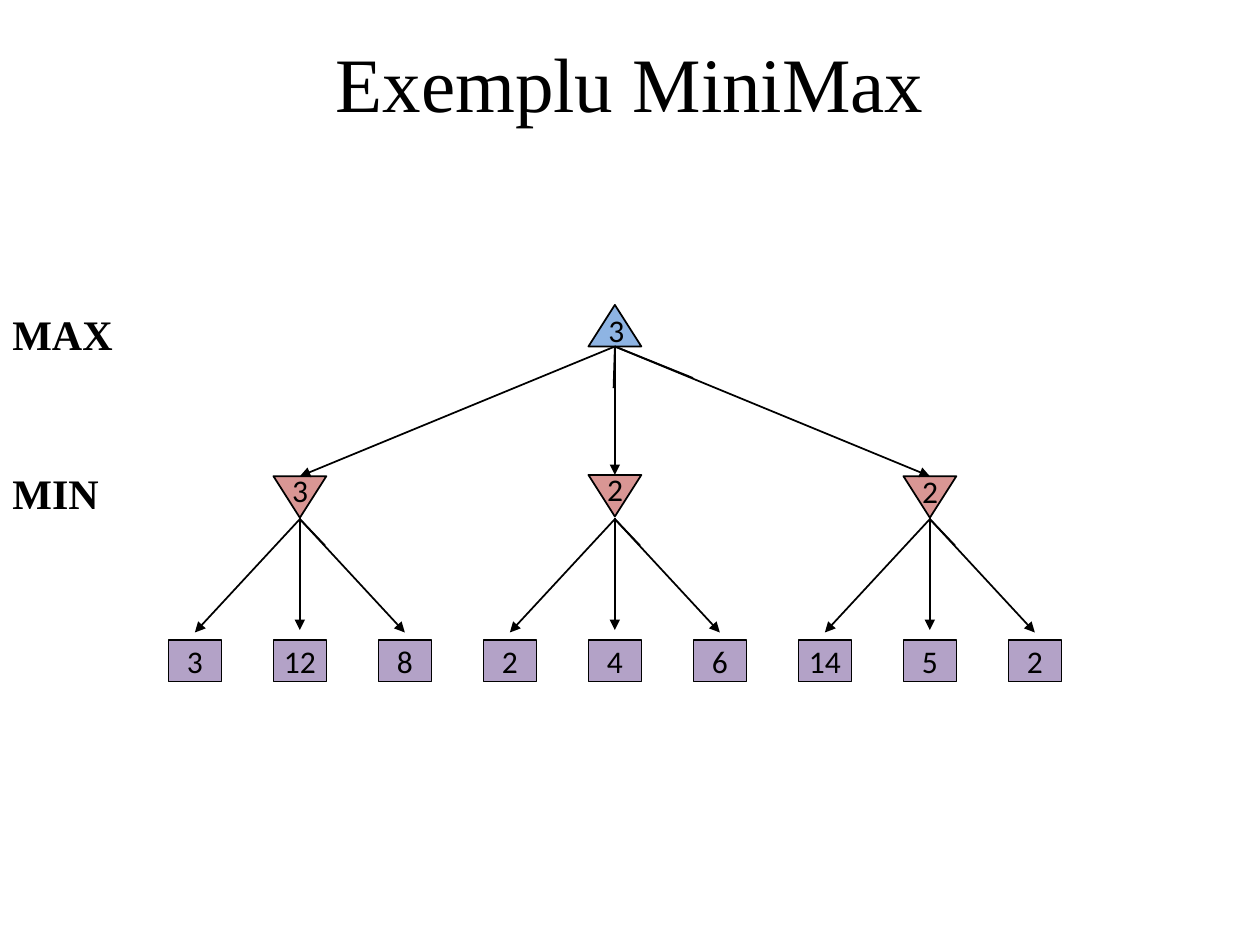
from lxml import etree
from pptx import Presentation
from pptx.dml.color import RGBColor
from pptx.enum import shapes, text
from pptx.oxml.ns import qn
from pptx.util import Inches, Pt

COLOURS = {
    "ink": "000000",
    "max": "8EB4E3",
    "min": "D99694",
    "leaf": "B3A2C7",
}
SERIF, SANS = "Times New Roman", "Calibri"
NODE_W, NODE_H = 0.42, 0.33
ROOT_X, ROOT_TOP, ROOT_BASE = 4.88, 2.42, 2.75
MIN_TIP, LEAF_TOP = 4.12, 5.08
LEAF_STEP = 2.5 / 3

# Each MIN node: centre x, top, value, value position, leaf values
MIN_NODES = [
    (2.38, 3.78, "3", (2.22, 3.69), ["3", "12", "8"]),
    (4.88, 3.77, "2", (4.72, 3.68), ["2", "4", "6"]),
    (7.38, 3.78, "2", (7.22, 3.70), ["14", "5", "2"]),
]


def rgb(name):
    return RGBColor.from_string(COLOURS[name])


def format_text(frame, size, font, bold=False, align=None):
    for paragraph in frame.paragraphs:
        paragraph.alignment = align
        for run in paragraph.runs:
            run.font.size = Pt(size)
            run.font.name = font
            run.font.bold = bold
            run.font.color.rgb = rgb("ink")


def add_title(slide, words):
    title = slide.shapes.title
    title.left, title.top = Inches(0.5), Inches(0.02)
    title.width, title.height = Inches(9), Inches(1.25)
    title.text_frame.text = words
    title.text_frame.vertical_anchor = text.MSO_ANCHOR.MIDDLE
    format_text(title.text_frame, 44, SERIF, align=text.PP_ALIGN.CENTER)


def add_node(slide, kind, centre, top, fill, line_width=1):
    node = slide.shapes.add_shape(kind, Inches(centre - NODE_W / 2), Inches(top),
                                  Inches(NODE_W), Inches(NODE_H))
    node.shadow.inherit = False
    node.fill.solid()
    node.fill.fore_color.rgb = rgb(fill)
    node.line.color.rgb = rgb("ink")
    node.line.width = Pt(line_width)
    return node


def add_leaf(slide, centre, value):
    leaf = add_node(slide, shapes.MSO_SHAPE.RECTANGLE, centre, LEAF_TOP, "leaf", 0.75)
    frame = leaf.text_frame
    frame.text = value
    frame.word_wrap = False
    frame.vertical_anchor = text.MSO_ANCHOR.MIDDLE
    format_text(frame, 18, SANS, align=text.PP_ALIGN.CENTER)


def add_edge(slide, start, end, arrow=True):
    edge = slide.shapes.add_connector(shapes.MSO_CONNECTOR.STRAIGHT,
                                      *map(Inches, start + end))
    edge.line.color.rgb = rgb("ink")
    edge.line.width = Pt(1)
    if arrow:
        etree.SubElement(edge.line._get_or_add_ln(), qn("a:tailEnd"), type="triangle")
    etree.SubElement(edge._element.spPr, qn("a:effectLst"))


def add_label(slide, words, left, top, width, height, size, font, bold=False):
    label = slide.shapes.add_textbox(*map(Inches, (left, top, width, height)))
    label.text_frame.word_wrap = True
    label.text_frame.text = words
    format_text(label.text_frame, size, font, bold)


def add_value(slide, value, position):
    add_label(slide, value, *position, 0.27, 0.4, 18, SANS)


def add_min_branch(slide, centre, top, value, value_at, leaves):
    triangle = add_node(slide, shapes.MSO_SHAPE.ISOSCELES_TRIANGLE, centre, top, "min")
    triangle._element.spPr.find(qn("a:xfrm")).set("flipV", "1")
    add_edge(slide, (ROOT_X, ROOT_BASE), (centre, top))

    # Leaves fan out evenly below the node
    for offset, leaf_value in zip((-1, 0, 1), leaves):
        leaf_x = centre + offset * LEAF_STEP
        add_edge(slide, (centre, MIN_TIP), (leaf_x, 5.02 if offset else 5))
        add_leaf(slide, leaf_x, leaf_value)

    # Short strokes at the node's tip
    add_edge(slide, (centre, 4.11), (centre, 4.45), arrow=False)
    add_edge(slide, (centre, MIN_TIP), (centre + 0.2, 4.33), arrow=False)
    add_value(slide, value, value_at)


def main():
    prs = Presentation()
    prs.slide_width, prs.slide_height = Inches(10), Inches(7.5)
    slide = prs.slides.add_slide(prs.slide_layouts[5])
    add_title(slide, "Exemplu MiniMax")

    # MAX root
    add_node(slide, shapes.MSO_SHAPE.ISOSCELES_TRIANGLE, ROOT_X, ROOT_TOP, "max")
    for stroke_end in ((4.87, 3.08), (5.5, 3)):
        add_edge(slide, (ROOT_X, ROOT_BASE), stroke_end, arrow=False)
    add_value(slide, "3", (4.73, 2.42))

    # MIN nodes with their leaves
    for branch in MIN_NODES:
        add_min_branch(slide, *branch)

    # Level names
    add_label(slide, "MAX", 0, 2.4, 1.1, 0.5, 24, SERIF, bold=True)
    add_label(slide, "MIN", 0, 3.66, 0.98, 0.5, 24, SERIF, bold=True)

    prs.save("out.pptx")


if __name__ == "__main__":
    main()
